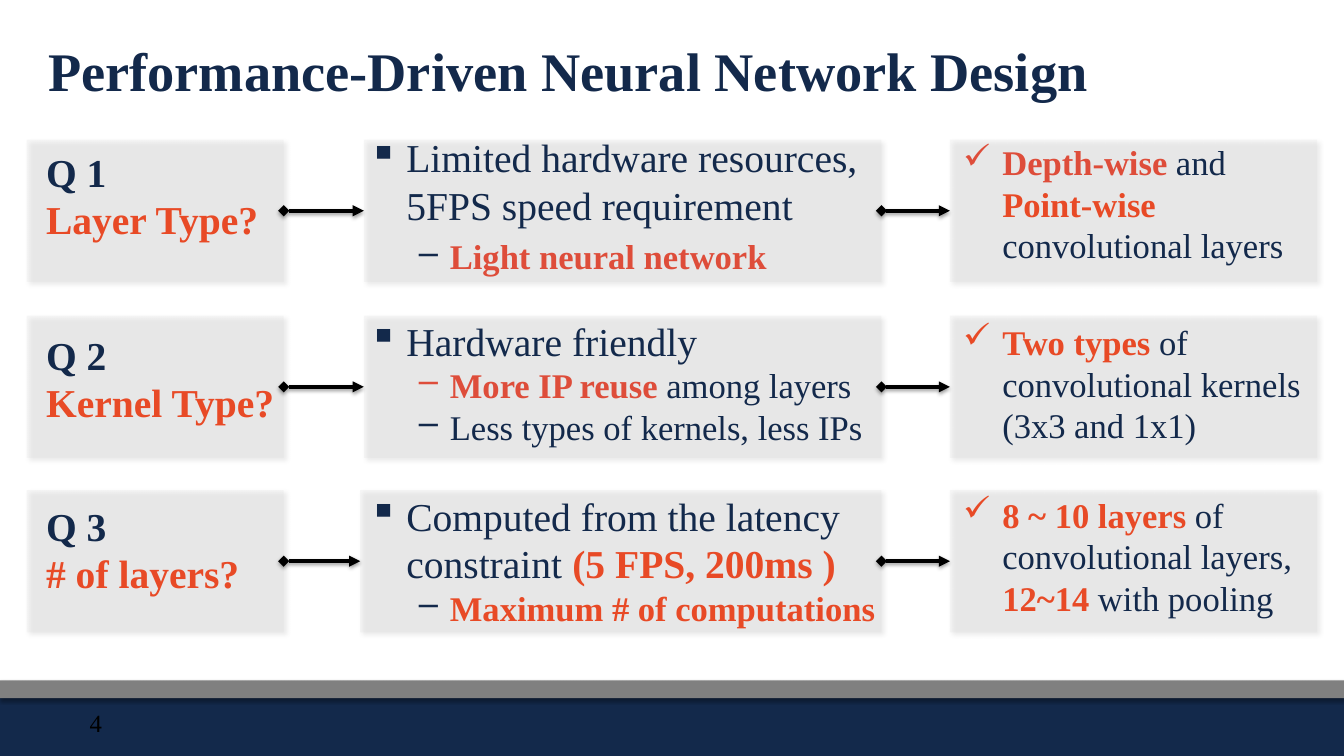
from dataclasses import dataclass
from typing import NamedTuple

from lxml.etree import SubElement
from pptx import Presentation
from pptx.dml.color import RGBColor
from pptx.enum.shapes import MSO_CONNECTOR, MSO_SHAPE
from pptx.enum.text import MSO_ANCHOR, MSO_AUTO_SIZE, PP_ALIGN
from pptx.oxml.ns import qn
from pptx.util import Inches, Pt

COLORS = {"navy": "13294B", "gray": "808080", "panel": "D9D9D9",
          "orange": "E84A26", "red": "DE4D3A", "black": "000000"}
FONT = "Times New Roman"
PAGE_WIDTH, PAGE_HEIGHT = 15.11, 8.5
PANEL_HEIGHT = 1.6


class Span(NamedTuple):
    text: str
    color: str = "navy"
    bold: bool = False


class Level(NamedTuple):
    size: int
    bullet: str = ""
    margin: float = 0
    hanging: float = 0


class Shadow(NamedTuple):
    opacity: int
    blur: float
    distance: float
    angle: int


class Column(NamedTuple):
    left: float
    right: float
    text_left: float
    text_width: float


@dataclass
class Para:
    level: Level
    spans: list[Span]
    space_before: float = 0
    bullet_color: str = "navy"


@dataclass
class Row:
    middle: float
    text_tops: tuple[float, float, float]
    cells: tuple[list[Para], list[Para], list[Para]]
    reason_left: float = 4.09


TITLE, NUMBER, QUESTION = Level(44), Level(20), Level(32)
REASON = Level(32, "▪", 0.42, 0.42)
DETAIL = Level(28, "–", 0.91, 0.35)
ANSWER = Level(28, "✓", 1.07, 0.44)

PANEL_SHADOW = Shadow(40, 4, 3, 45)
BAND_SHADOW = Shadow(35, 3.1, 1.8, 90)
ARROW_SHADOW = Shadow(38, 3.1, 1.6, 90)

COLUMNS = (Column(0.3, 3.19, 0.42, 2.87),
           Column(4.09, 9.91, 4.05, 6.24),
           Column(10.68, 14.81, 10.1, 4.89))


def question(number: int, text: str) -> list[Para]:
    return [Para(QUESTION, [Span(f"Q {number}", bold=True)]),
            Para(QUESTION, [Span(text, "orange", True)])]


ROWS = (
    Row(2.37, (1.61, 1.45, 1.54), (
        question(1, "Layer Type?"),
        [Para(REASON, [Span("Limited hardware resources, 5FPS speed requirement")]),
         Para(DETAIL, [Span("Light neural network", "red", True)], space_before=5.6)],
        [Para(ANSWER, [Span("Depth-wise", "red", True), Span(" and "),
                       Span("Point-wise", "orange", True),
                       Span(" convolutional layers")], bullet_color="red")])),
    Row(4.35, (3.67, 3.51, 3.56), (
        question(2, "Kernel Type?"),
        [Para(REASON, [Span("Hardware friendly")]),
         Para(DETAIL, [Span("More IP reuse ", "red", True), Span("among layers")],
              bullet_color="red"),
         Para(DETAIL, [Span("Less types of kernels, less IPs")])],
        [Para(ANSWER, [Span("Two types ", "orange", True),
                       Span("of convolutional kernels (3x3 and 1x1)")],
              bullet_color="orange")])),
    Row(6.31, (5.59, 5.48, 5.5), (
        question(3, "# of layers?"),
        [Para(REASON, [Span("Computed from the latency constraint "),
                       Span("(5 FPS, 200ms )", "orange", True)]),
         Para(DETAIL, [Span("Maximum # of computations", "orange", True)])],
        [Para(ANSWER, [Span("8 ~ 10 layers ", "orange", True),
                       Span("of convolutional layers, "),
                       Span("12~14", "orange", True), Span(" with pooling")],
              bullet_color="orange")]), reason_left=4.05),
)


def rgb(name: str) -> RGBColor:
    return RGBColor.from_string(COLORS[name])


def add_shadow(shape, shadow: Shadow) -> None:
    effects = SubElement(shape._element.spPr, qn("a:effectLst"))
    outer = SubElement(effects, qn("a:outerShdw"), blurRad=str(Pt(shadow.blur)),
                       dist=str(Pt(shadow.distance)), dir=str(shadow.angle * 60000),
                       rotWithShape="0")
    color = SubElement(outer, qn("a:srgbClr"), val=COLORS["black"])
    SubElement(color, qn("a:alpha"), val=str(shadow.opacity * 1000))


def add_block(page, left: float, top: float, width: float, height: float, *,
              color: str, shadow: Shadow, opacity: int = 100) -> None:
    """Draw a borderless rectangle with a soft shadow."""
    block = page.shapes.add_shape(MSO_SHAPE.RECTANGLE, Inches(left), Inches(top),
                                  Inches(width), Inches(height))
    block.fill.solid()
    block.fill.fore_color.rgb = rgb(color)
    block.line.fill.background()
    if opacity < 100:
        fill_color = block._element.spPr.find(".//" + qn("a:srgbClr"))
        SubElement(fill_color, qn("a:alpha"), val=str(opacity * 1000))
    add_shadow(block, shadow)


def add_arrow(page, start: float, end: float, y: float) -> None:
    arrow = page.shapes.add_connector(MSO_CONNECTOR.STRAIGHT, Inches(start), Inches(y),
                                      Inches(end), Inches(y))
    arrow.line.color.rgb = rgb("black")
    arrow.line.width = Pt(3)
    line = arrow.line._get_or_add_ln()
    SubElement(line, qn("a:headEnd"), type="diamond")
    SubElement(line, qn("a:tailEnd"), type="triangle")
    add_shadow(arrow, ARROW_SHADOW)


def write(box, paras: list[Para]) -> None:
    """Fill a text box or placeholder with formatted paragraphs."""
    frame = box.text_frame
    frame.word_wrap = True
    frame.auto_size = MSO_AUTO_SIZE.NONE
    frame.vertical_anchor = MSO_ANCHOR.TOP
    for index, para in enumerate(paras):
        target = frame.add_paragraph() if index else frame.paragraphs[0]
        target.alignment = PP_ALIGN.LEFT
        target.space_before = Pt(para.space_before)
        level = para.level
        if level.bullet:
            properties = target._p.get_or_add_pPr()
            properties.set("marL", str(Inches(level.margin)))
            properties.set("indent", str(-Inches(level.hanging)))
            color = SubElement(properties, qn("a:buClr"))
            SubElement(color, qn("a:srgbClr"), val=COLORS[para.bullet_color])
            SubElement(properties, qn("a:buChar"), char=level.bullet)
        for span in para.spans:
            run = target.add_run()
            run.text = span.text
            run.font.name = FONT
            run.font.size = Pt(level.size)
            run.font.bold = span.bold
            run.font.color.rgb = rgb(span.color)


def add_text(page, left: float, top: float, width: float, height: float,
             paras: list[Para]) -> None:
    write(page.shapes.add_textbox(Inches(left), Inches(top), Inches(width),
                                  Inches(height)), paras)


def add_row(page, row: Row) -> None:
    lefts = (COLUMNS[0].left, row.reason_left, COLUMNS[2].left)
    for column, left, top, paras in zip(COLUMNS, lefts, row.text_tops, row.cells):
        add_block(page, left, row.middle - PANEL_HEIGHT / 2, column.right - left,
                  PANEL_HEIGHT, color="panel", shadow=PANEL_SHADOW, opacity=20)
        add_text(page, column.text_left, top, column.text_width, PANEL_HEIGHT, paras)
    for column, next_left in zip(COLUMNS, lefts[1:]):
        add_arrow(page, column.right, next_left, row.middle)


def main() -> None:
    deck = Presentation()
    deck.slide_width, deck.slide_height = Inches(PAGE_WIDTH), Inches(PAGE_HEIGHT)
    page = deck.slides.add_slide(deck.slide_layouts[5])
    add_block(page, 0, 7.84, PAGE_WIDTH, 0.66, color="navy", shadow=BAND_SHADOW)
    add_block(page, 0, 7.65, PAGE_WIDTH, 0.2, color="gray", shadow=BAND_SHADOW)

    title = page.shapes.title
    title.left, title.top = Inches(0.44), Inches(0.37)
    title.width, title.height = Inches(13.81), Inches(0.79)
    write(title, [Para(TITLE, [Span("Performance-Driven Neural Network Design",
                                    bold=True)])])
    for row in ROWS:
        add_row(page, row)
    add_text(page, 0.91, 7.91, 0.58, 0.45, [Para(NUMBER, [Span("4", "black")])])
    deck.save("out.pptx")


if __name__ == "__main__":
    main()
